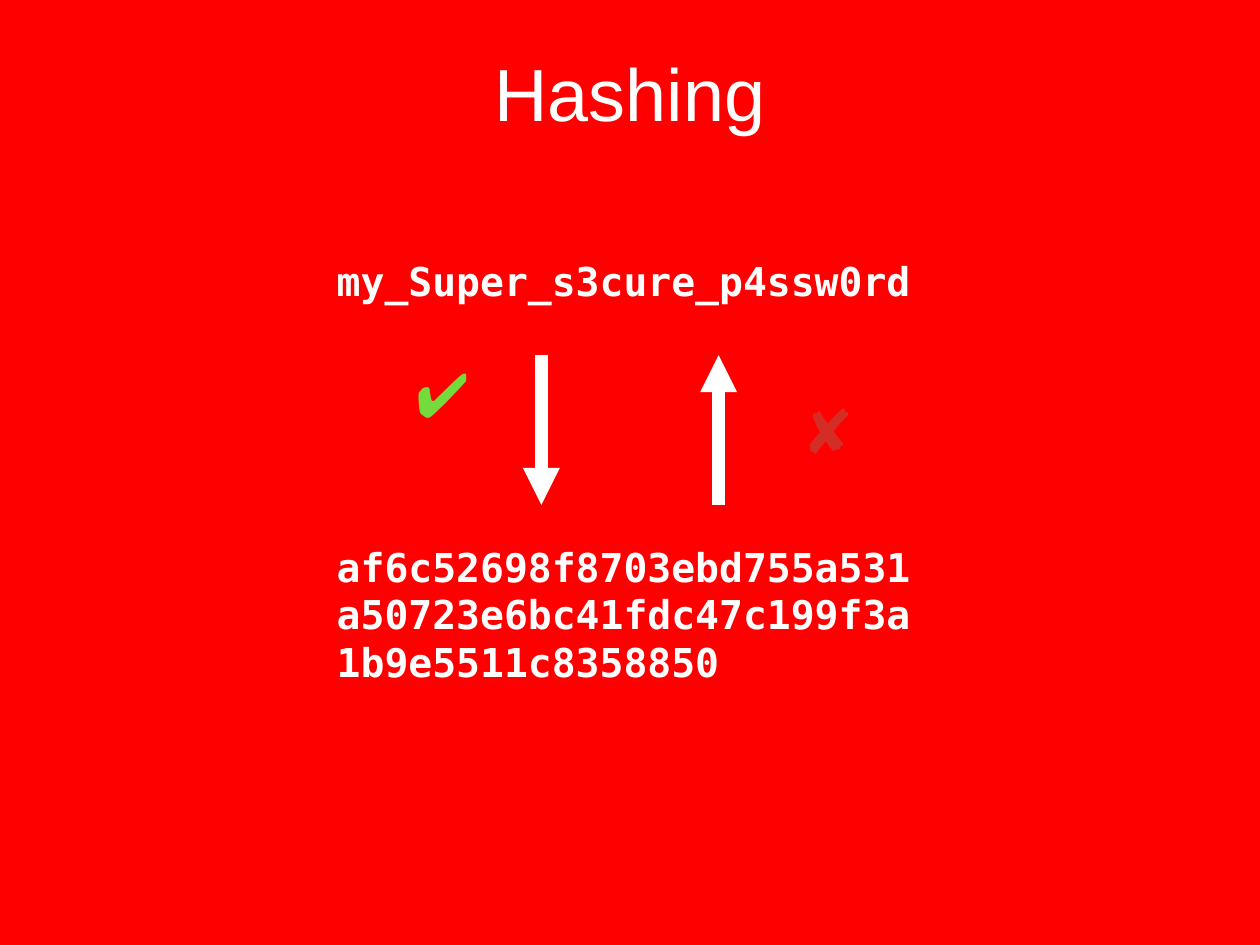
from lxml import etree
from pptx import Presentation
from pptx.dml.color import RGBColor
from pptx.enum.shapes import MSO_CONNECTOR
from pptx.enum.text import MSO_ANCHOR, MSO_AUTO_SIZE, PP_ALIGN
from pptx.oxml.ns import qn
from pptx.util import Inches, Pt

COLORS = {"background": "FF0000", "text": "FFFFFF", "allowed": "75DB3C", "blocked": "D42D26"}
LINE_HEIGHT = 38.7
GAP_LINES = 5


def place(shape, left, top, width, height):
    shape.left, shape.top = Inches(left), Inches(top)
    shape.width, shape.height = Inches(width), Inches(height)


def set_margins(frame, margin):
    frame.margin_left = frame.margin_right = Inches(margin)
    frame.margin_top = frame.margin_bottom = Inches(margin)


def style_font(paragraph, name, size, color, bold=False):
    for run in paragraph.runs:
        run.font.name = name
        run.font.size = Pt(size)
        run.font.bold = bold
        run.font.color.rgb = RGBColor.from_string(COLORS[color])


def add_title(slide, left, top, width, height):
    title = slide.shapes.title
    place(title, left, top, width, height)
    frame = title.text_frame
    frame.text = "Hashing"
    frame.auto_size = MSO_AUTO_SIZE.NONE
    frame.vertical_anchor = MSO_ANCHOR.MIDDLE
    set_margins(frame, 0)
    heading = frame.paragraphs[0]
    heading.alignment = PP_ALIGN.CENTER
    style_font(heading, "Arial", 60, "text")


def add_password_and_hash(slide, left, top, width, height):
    body = slide.placeholders[1]
    place(body, left, top, width, height)
    frame = body.text_frame
    frame.text = (
        "my_Super_s3cure_p4ssw0rd\n"
        "af6c52698f8703ebd755a531a50723e6bc41fdc47c199f3a1b9e5511c8358850"
    )
    frame.auto_size = MSO_AUTO_SIZE.NONE
    frame.vertical_anchor = MSO_ANCHOR.TOP
    set_margins(frame, 0)
    for index, paragraph in enumerate(frame.paragraphs):
        properties = paragraph._p.get_or_add_pPr()
        properties.set("marL", "0")
        properties.set("indent", "0")
        etree.SubElement(properties, qn("a:buNone"))
        paragraph.alignment = PP_ALIGN.JUSTIFY
        paragraph.line_spacing = Pt(LINE_HEIGHT)
        paragraph.space_before = Pt(index * GAP_LINES * LINE_HEIGHT)
        style_font(paragraph, "DejaVu Sans Mono", 32.3, "text", bold=True)


def add_arrow(slide, x, start, end):
    arrow = slide.shapes.add_connector(
        MSO_CONNECTOR.STRAIGHT, Inches(x), Inches(start), Inches(x), Inches(end)
    )
    arrow.line.width = Pt(10)
    arrow.line.color.rgb = RGBColor.from_string(COLORS["text"])
    etree.SubElement(arrow.line._get_or_add_ln(), qn("a:tailEnd"), type="triangle")
    etree.SubElement(arrow._element.spPr, qn("a:effectLst"))


def add_mark(slide, symbol, color, left, top, width, height):
    mark = slide.shapes.add_textbox(Inches(left), Inches(top), Inches(width), Inches(height))
    frame = mark.text_frame
    frame.text = symbol
    frame.word_wrap = False
    frame.auto_size = MSO_AUTO_SIZE.SHAPE_TO_FIT_TEXT
    frame.vertical_anchor = MSO_ANCHOR.MIDDLE
    set_margins(frame, 0.06)
    paragraph = frame.paragraphs[0]
    paragraph.alignment = PP_ALIGN.CENTER
    style_font(paragraph, "Roboto", 50, color)


def add_directions(slide, left, top, width, height):
    bottom = top + height
    add_arrow(slide, left + 1.48, top, bottom)
    add_arrow(slide, left + 3.48, bottom, top)
    add_mark(slide, "✔︎", "allowed", left, top + 0.44, 0.71, 0.81)
    add_mark(slide, "✘", "blocked", left + width - 0.59, top + 0.44, 0.59, 0.81)


def main():
    deck = Presentation()
    deck.slide_width, deck.slide_height = Inches(14.22), Inches(10.67)
    slide = deck.slides.add_slide(deck.slide_layouts[1])
    background = slide.background.fill
    background.solid()
    background.fore_color.rgb = RGBColor.from_string(COLORS["background"])
    add_title(slide, 1.04, 0.44, 12.14, 1.2)
    add_password_and_hash(slide, 3.8, 2.9, 6.63, 4.87)
    add_directions(slide, 4.63, 4.01, 4.96, 1.69)
    deck.save("out.pptx")


if __name__ == "__main__":
    main()
